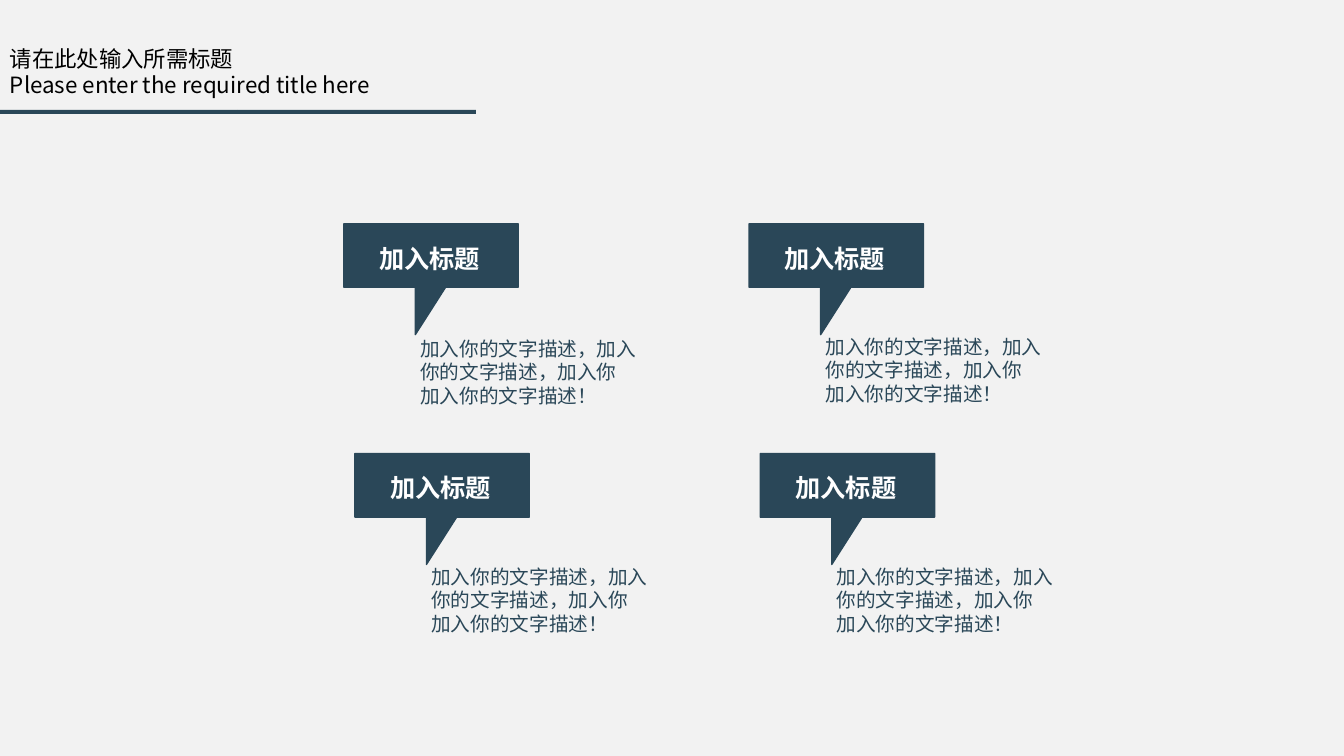
from dataclasses import dataclass

import pptx
import pptx.dml.color
import pptx.enum.shapes
import pptx.enum.text
import pptx.oxml
import pptx.oxml.ns
import pptx.util
from pptx.util import Inches

COLORS = {"background": "F2F2F2", "navy": "2A4758", "white": "FFFFFF", "black": "000000"}
FONT = "Noto Sans CJK SC"
HEADING = ["加入标题"]
BODY = ["加入你的文字描述，加入你的文字描述，加入你", "加入你的文字描述！"]
# Corner points of a speech bubble, relative to its top left
BUBBLE = [(0, 0), (1.73, 0), (1.73, 0.63), (1.01, 0.63), (0.71, 1.1), (0.71, 0.63), (0, 0.63)]


@dataclass
class Callout:
    x: float
    y: float
    body_y: float


@dataclass
class TextStyle:
    size: float
    color: str
    bold: bool = False
    centered: bool = False
    inset_y: float = 0


HEADING_STYLE = TextStyle(18, "white", bold=True, centered=True)
BODY_STYLE = TextStyle(14, "navy")
TITLE_STYLE = TextStyle(16, "black", inset_y=0.05)

CALLOUTS = [
    Callout(3.41, 2.22, 3.34),
    Callout(3.52, 4.5, 5.6),
    Callout(7.43, 2.22, 3.32),
    Callout(7.54, 4.5, 5.6),
]
TITLES = [("请在此处输入所需标题", 0.4, 3.83), ("Please enter the required title here", 0.66, 4.33)]


def rgb(name: str) -> pptx.dml.color.RGBColor:
    return pptx.dml.color.RGBColor.from_string(COLORS[name])


def add_text(s, lines: list[str], x: float, y: float, w: float, h: float, style: TextStyle) -> None:
    tf = s.shapes.add_textbox(Inches(x), Inches(y), Inches(w), Inches(h)).text_frame
    tf.word_wrap = True
    tf.margin_top = tf.margin_bottom = Inches(style.inset_y)
    for i, line in enumerate(lines):
        p = tf.add_paragraph() if i else tf.paragraphs[0]
        if style.centered:
            p.alignment = pptx.enum.text.PP_ALIGN.CENTER
        r = p.add_run()
        r.text = line
        r.font.name = FONT
        r.font.size = pptx.util.Pt(style.size)
        r.font.bold = style.bold
        r.font.color.rgb = rgb(style.color)
        ea = pptx.oxml.parse_xml(f'<a:ea {pptx.oxml.ns.nsdecls("a")} typeface="{FONT}"/>')
        r.font._element.append(ea)


def add_callout(s, c: Callout) -> None:
    points = [(Inches(c.x + dx), Inches(c.y + dy)) for dx, dy in BUBBLE]
    builder = s.shapes.build_freeform(*points[0])
    builder.add_line_segments(points[1:], close=True)
    sp = builder.convert_to_shape()
    sp.shadow.inherit = False
    sp.fill.solid()
    sp.fill.fore_color.rgb = rgb("navy")
    sp.line.color.rgb = rgb("navy")
    sp.line.width = pptx.util.Pt(1)
    add_text(s, HEADING, c.x - 0.03, c.y + 0.19, 1.76, 0.28, HEADING_STYLE)
    add_text(s, BODY, c.x + 0.66, c.body_y, 2.5, 0.82, BODY_STYLE)


def main() -> None:
    prs = pptx.Presentation()
    prs.slide_width, prs.slide_height = Inches(13.33), Inches(7.5)
    s = prs.slides.add_slide(prs.slide_layouts[6])
    s.background.fill.solid()
    s.background.fill.fore_color.rgb = rgb("background")

    # Callouts with descriptions
    for c in CALLOUTS:
        add_callout(s, c)

    # Two-part rule under the title
    rule_w = 2.36
    for i in range(2):
        sp = s.shapes.add_shape(pptx.enum.shapes.MSO_SHAPE.RECTANGLE,
                                Inches(i * rule_w), Inches(1.09), Inches(rule_w), Inches(0.04))
        sp.shadow.inherit = False
        sp.fill.solid()
        sp.fill.fore_color.rgb = rgb("navy")
        sp.line.fill.background()

    # Title in two languages
    for text, y, w in TITLES:
        add_text(s, [text], 0, y, w, 0.37, TITLE_STYLE)

    prs.save("out.pptx")


if __name__ == "__main__":
    main()
